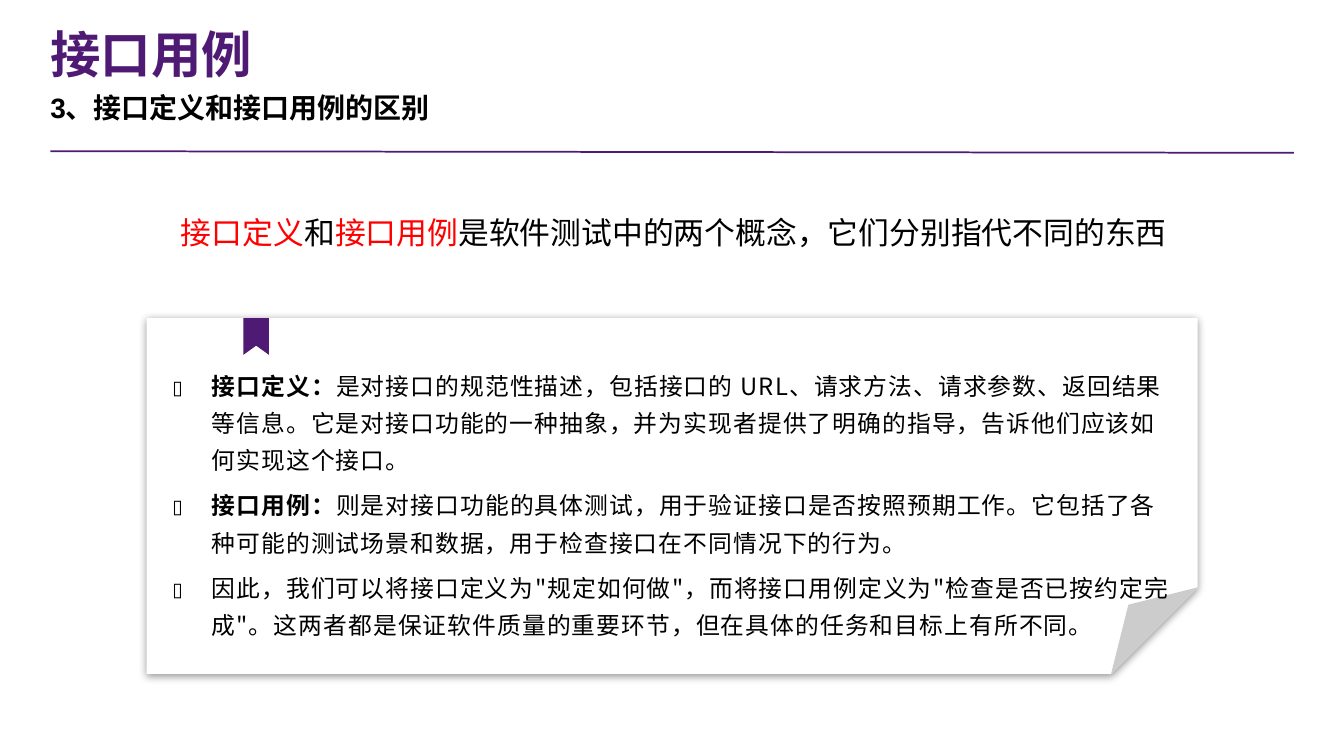
from lxml.etree import SubElement
from pptx import Presentation
from pptx.dml.color import RGBColor
from pptx.enum.shapes import MSO_CONNECTOR as Connector, MSO_SHAPE as Shape
from pptx.enum.text import MSO_ANCHOR as Anchor, PP_ALIGN as Align
from pptx.oxml import parse_xml
from pptx.oxml.ns import nsdecls, qn
from pptx.util import Cm, Pt

COLORS = {"purple": "4F1A74", "red": "FF0000", "black": "000000", "white": "FFFFFF"}
CJK_FONT = "Noto Sans CJK SC"


def rgb(name):
    return RGBColor.from_string(COLORS[name])


class SlideBuilder:
    """Holds the style and the slide; shapes go to the current container."""

    def __init__(self, slide):
        self.slide = slide
        self.container = slide.shapes

    def start_group(self):
        self.container = self.slide.shapes.add_group_shape().shapes

    def end_group(self):
        self.container = self.slide.shapes

    def paint(self, shape, color):
        shape.shadow.inherit = False
        shape.fill.solid()
        shape.fill.fore_color.rgb = rgb(color)
        shape.line.fill.background()

    def card(self, box, fold):
        shape = self.container.add_shape(Shape.FOLDED_CORNER, *map(Cm, box))
        # This preset has no entry in shape.adjustments
        geometry = shape._element.spPr.find(qn("a:prstGeom"))
        SubElement(geometry.find(qn("a:avLst")), qn("a:gd"),
                   name="adj", fmla=f"val {round(fold * 100000)}")
        self.paint(shape, "white")
        effects = shape._element.spPr.find(qn("a:effectLst"))
        effects.append(parse_xml(
            f'<a:outerShdw {nsdecls("a")} blurRad="{Pt(12)}" dist="{Pt(3)}" '
            f'dir="5400000" algn="t" rotWithShape="0"><a:srgbClr val="{COLORS["black"]}">'
            '<a:alpha val="40000"/></a:srgbClr></a:outerShdw>'))

    def bookmark(self, left, top, width, height, notch):
        right, bottom = left + width, top + height
        points = [(right, top), (right, bottom),
                  (left + width / 2, bottom - notch), (left, bottom)]
        builder = self.container.build_freeform(Cm(left), Cm(top))
        builder.add_line_segments([(Cm(x), Cm(y)) for x, y in points], close=True)
        self.paint(builder.convert_to_shape(), "purple")

    def rule(self, start, end, color, width):
        line = self.container.add_connector(
            Connector.STRAIGHT, *map(Cm, start), *map(Cm, end))
        line.line.color.rgb = rgb(color)
        line.line.width = Pt(width)
        SubElement(line._element.spPr, qn("a:effectLst"))

    def text(self, box, paragraphs, size, color="black", font=CJK_FONT, bold=None,
             insets=(0, 0, 0, 0), anchor=Anchor.TOP, align=Align.LEFT,
             line_spacing=None, space_before=None, tracking=None, bullet=None):
        """Each paragraph is a list of (text, color or None, bold or None) runs."""
        frame = self.container.add_textbox(*map(Cm, box)).text_frame
        frame.word_wrap = True
        frame.vertical_anchor = anchor
        (frame.margin_left, frame.margin_top,
         frame.margin_right, frame.margin_bottom) = map(Cm, insets)
        for index, runs in enumerate(paragraphs):
            paragraph = frame.add_paragraph() if index else frame.paragraphs[0]
            paragraph.alignment = align
            if line_spacing:
                paragraph.line_spacing = line_spacing
            if space_before:
                paragraph.space_before = Pt(space_before)
            if bullet:
                self.bullet(paragraph, *bullet)
            paragraph.font.size = Pt(size)
            paragraph.font.name = font
            paragraph.font.bold = bold
            paragraph.font.color.rgb = rgb(color)
            defaults = paragraph._p.pPr.find(qn("a:defRPr"))
            SubElement(defaults, qn("a:ea"), typeface=CJK_FONT)
            if tracking:
                defaults.set("spc", str(round(tracking * 100)))
            for words, run_color, run_bold in runs:
                run = paragraph.add_run()
                run.text = words
                if run_color:
                    run.font.color.rgb = rgb(run_color)
                if run_bold:
                    run.font.bold = True

    def bullet(self, paragraph, symbol, percent, indent):
        properties = paragraph._p.get_or_add_pPr()
        properties.set("marL", str(Cm(indent)))
        properties.set("indent", str(-Cm(indent)))
        SubElement(properties, qn("a:buSzPct"), val=str(percent * 1000))
        SubElement(properties, qn("a:buFont"), typeface=CJK_FONT)
        SubElement(properties, qn("a:buChar"), char=symbol)


def main():
    presentation = Presentation()
    presentation.slide_width, presentation.slide_height = Cm(67.73), Cm(38.1)
    builder = SlideBuilder(presentation.slides.add_slide(presentation.slide_layouts[6]))

    # Note card with bookmark and explanations
    builder.start_group()
    builder.card((7.39, 16.03, 52.96, 17.93), fold=0.243)
    builder.bookmark(12.27, 16.03, 1.28, 1.85, notch=0.46)
    explanations = [
        [("接口定义：", None, True),
         ("是对接口的规范性描述，包括接口的 URL、请求方法、请求参数、返回结果等信息。"
          "它是对接口功能的一种抽象，并为实现者提供了明确的指导，"
          "告诉他们应该如何实现这个接口。", None, None)],
        [("接口用例：", None, True),
         ("则是对接口功能的具体测试，用于验证接口是否按照预期工作。"
          "它包括了各种可能的测试场景和数据，用于检查接口在不同情况下的行为。", None, None)],
        [('因此，我们可以将接口定义为"规定如何做"，而将接口用例定义为"检查是否已按约定完成"。'
          "这两者都是保证软件质量的重要环节，但在具体的任务和目标上有所不同。", None, None)],
    ]
    builder.text((8.41, 18.29, 50.9, 15.29), explanations, 34,
                 insets=(0.28, 0, 0.23, 0), line_spacing=1.3, space_before=12,
                 tracking=1.6, bullet=("▯", 80, 1.98))
    builder.end_group()

    # Key statement
    statement = [("接口定义", "red", None), ("和", None, None), ("接口用例", "red", None),
                 ("是软件测试中的两个概念，它们分别指代不同的东西", None, None)]
    builder.text((8.46, 10.57, 51.03, 2.57), [statement], 44,
                 insets=(0.2, 0.2, 0.2, 0.2), align=Align.CENTER)

    # Heading
    builder.rule((2.54, 7.62), (65.2, 7.7), "purple", 2.5)
    builder.text((2.54, 0.84, 62.66, 3.38), [[("接口用例", None, None)]], 72,
                 color="purple", bold=True, anchor=Anchor.BOTTOM)
    builder.text((2.54, 4.24, 62.66, 2.54),
                 [[("3、接口定义和接口用例的区别", None, None)]], 40,
                 font="Arial", bold=True, line_spacing=1.2)

    presentation.save("out.pptx")


if __name__ == "__main__":
    main()
